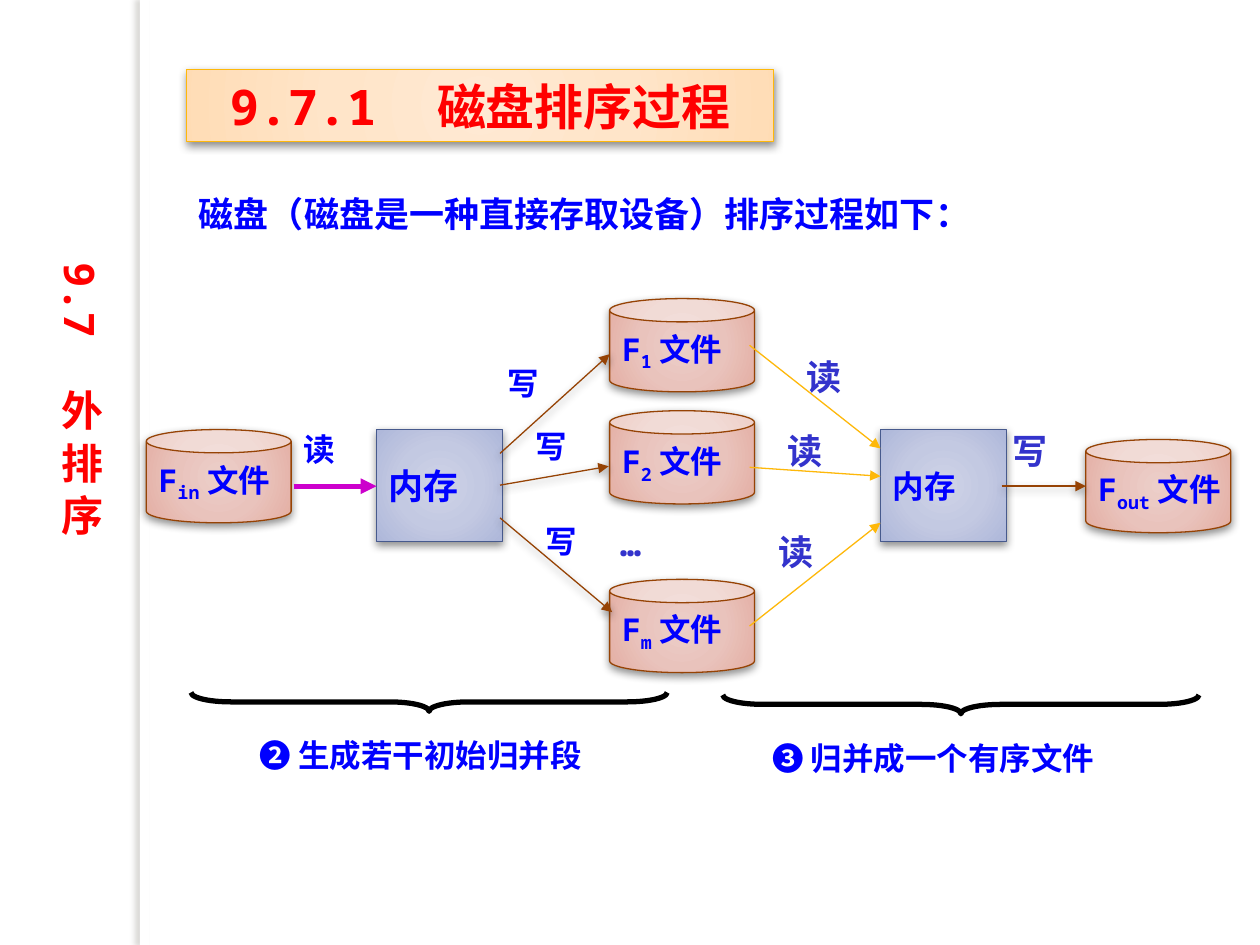
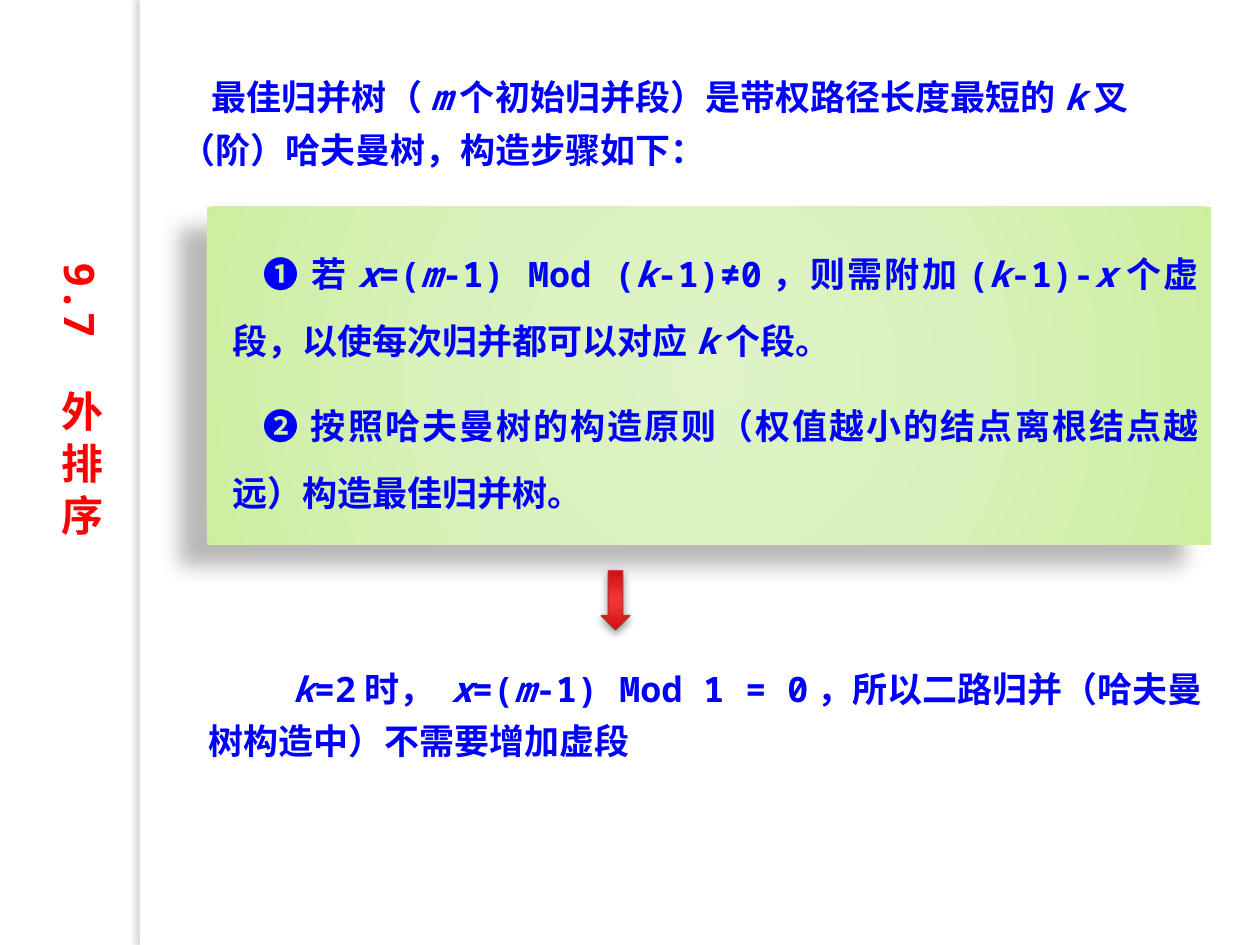
"""Build two slides on external sorting: the disk sort flow and the best merge tree."""
from dataclasses import dataclass, field
from typing import Any, Optional

from lxml.etree import SubElement as Sub
from pptx import Presentation
from pptx.dml.color import RGBColor
from pptx.enum.shapes import MSO_CONNECTOR as Conn, MSO_SHAPE as Kind
from pptx.enum.text import MSO_ANCHOR as Anchor, MSO_AUTO_SIZE as Auto, PP_ALIGN as Align
from pptx.oxml.ns import qn
from pptx.util import Cm, Pt

MONO, SANS = "Noto Sans Mono", "Noto Sans CJK SC"
BLUE, RED, INDIGO = "0000FF", "FF0000", "3333CC"
BROWN, GOLD, NAVY, PURPLE = "964305", "FEB80A", "475A8D", "CC00CC"
PEACH = {0: "FFE9D3", 50: "FFE5C9", 97: "FFDDB7", 100: "FFDBB2"}
ROSE = {0: "ECCEC9", 50: "E9C3BC", 97: "E4AFA4", 100: "E4A89B"}
STEEL = {0: "CFD3E7", 50: "C3C9E2", 97: "AFB8DA", 100: "A8B2DA"}
LIME = {0: "DFF3C7", 50: "D8F1BA", 97: "CDEFA2", 100: "CAF199"}
FLAME = {0: "EF3737", 15: "EE3637", 62: "DB1C1C", 97: "C70C0D", 100: "C30001"}
HEIGHT = 19.05


@dataclass(frozen=True)
class Box:
    x: float
    y: float
    w: float
    h: float


@dataclass(frozen=True)
class Shade:
    hue: str = "000000"
    alpha: int = 43
    blur: float = 5
    dist: float = 2
    angle: int = 90


@dataclass(frozen=True)
class Style:
    size: float = 18
    hue: str = BLUE
    face: str = MONO
    odd: str = "italic"
    indent: float = 0
    para: dict = field(default_factory=dict)
    gap: float = 0
    frame: dict = field(default_factory=dict)
    pad: tuple = (0.25, 0.13, 0.25, 0.13)


@dataclass(frozen=True)
class Disk:
    x: float
    y: float
    sub: str


@dataclass(frozen=True)
class Mark:
    text: str
    x: float
    y: float
    style: Style


@dataclass(frozen=True)
class Arrow:
    x1: float
    y1: float
    x2: float
    y2: float
    hue: str
    width: float = 0.75
    shade: Optional[Shade] = None


SOFT = Shade()
TIGHT = (0, 0, 0, 0)
MID = {"word_wrap": False, "vertical_anchor": Anchor.MIDDLE}
SMALL, LARGE = Style(pad=TIGHT), Style(20, INDIGO, pad=TIGHT)
HEAD = Style(28, RED, para={"alignment": Align.CENTER}, frame={"vertical_anchor": Anchor.MIDDLE})
SIDE = Style(24, RED, para={"alignment": Align.CENTER})
LEAD = Style(20, face=SANS)
STEP = Style(20, indent=0.64, gap=10, pad=(0.51, 0.41, 0.25, 0.51),
             para={"alignment": Align.JUSTIFY, "line_spacing": 1.6})
INTRO = Style(20, indent=0.64, para={"line_spacing": Pt(30)})
NOTE = Style(20, indent=1.7, para={"line_spacing": Pt(30)})

DISKS = [Disk(2.95, 8.66, "in"), Disk(21.89, 8.86, "out"), Disk(12.29, 6.02, "1"),
         Disk(12.29, 8.28, "2"), Disk(12.29, 11.68, "m")]
MARKS = [
    Mark("读", 6.12, 8.66, SMALL), Mark("写", 10.24, 7.34, SMALL),
    Mark("写", 10.8, 8.61, SMALL), Mark("写", 11, 10.52, SMALL),
    Mark("写", 20.42, 8.66, LARGE), Mark("读", 16.26, 7.16, LARGE),
    Mark("读", 15.88, 8.66, LARGE), Mark("读", 15.7, 10.69, LARGE),
    Mark("…", 12.5, 10.52, LARGE),
]
ARROWS = [
    Arrow(5.92, 9.8, 7.59, 9.8, PURPLE, 3),
    Arrow(20.19, 9.8, 21.89, 9.8, BROWN, shade=SOFT),
    Arrow(10.08, 9.14, 12.29, 7.14, BROWN, shade=SOFT),
    Arrow(10.08, 9.78, 12.27, 9.4, BROWN, shade=SOFT),
    Arrow(10.08, 10.44, 12.34, 12.34, BROWN, shade=SOFT),
    Arrow(15.11, 6.96, 17.75, 9.04, GOLD),
    Arrow(15.11, 9.42, 17.75, 9.6, GOLD),
    Arrow(15.11, 12.62, 17.75, 10.54, GOLD),
]


def rgb(hue: str) -> RGBColor:
    """Turn a hex string into a colour."""
    return RGBColor.from_string(hue)


def put(thing: Any, vals: dict) -> None:
    """Set each named value on the object."""
    for name, val in vals.items():
        setattr(thing, name, val)


def spot(box: Box) -> tuple:
    """Give the box as lengths."""
    return Cm(box.x), Cm(box.y), Cm(box.w), Cm(box.h)


def move(shape: Any, box: Box) -> Any:
    """Place a shape on its box."""
    put(shape, dict(zip(("left", "top", "width", "height"), spot(box))))
    return shape


def cast(shape: Any, shade: Optional[Shade]) -> None:
    """Give the shape this shadow, or none."""
    root = Sub(shape._element.spPr, qn("a:effectLst"))
    if shade:
        drop = Sub(root, qn("a:outerShdw"), blurRad=str(Pt(shade.blur)), dist=str(Pt(shade.dist)),
                   dir=str(shade.angle * 60000), algn="ctr", rotWithShape="0")
        tint = Sub(drop, qn("a:srgbClr"), val=shade.hue)
        Sub(tint, qn("a:alpha"), val=str(shade.alpha * 1000))


def glow(shape: Any, stops: dict) -> None:
    """Fill the shape with a round gradient."""
    shape.fill.solid()
    props = shape._element.spPr
    flat = props.find(qn("a:solidFill"))
    grad = Sub(props, qn("a:gradFill"), rotWithShape="1")
    row = Sub(grad, qn("a:gsLst"))
    for pos, hue in stops.items():
        Sub(Sub(row, qn("a:gs"), pos=str(pos * 1000)), qn("a:srgbClr"), val=hue)
    way = Sub(grad, qn("a:path"), path="circle")
    Sub(way, qn("a:fillToRect"), dict.fromkeys("ltrb", "50000"))
    props.replace(flat, grad)


def edge(shape: Any, hue: Optional[str], width: float = 0.75) -> None:
    """Draw the outline, or none."""
    if hue:
        shape.line.color.rgb = rgb(hue)
        shape.line.width = Pt(width)
    else:
        shape.line.fill.background()


def write(shape: Any, style: Style, *lines: str) -> None:
    """Write lines in which every second part between bars is special."""
    frame = shape.text_frame
    sides = ("margin_left", "margin_top", "margin_right", "margin_bottom")
    put(frame, {"auto_size": Auto.NONE, "word_wrap": True, "vertical_anchor": Anchor.TOP,
                **dict(zip(sides, map(Cm, style.pad))), **style.frame})
    for num, line in enumerate(lines):
        para = frame.add_paragraph() if num else frame.paragraphs[0]
        put(para, {"alignment": Align.LEFT, "space_before": Pt(style.gap if num else 0),
                   **style.para})
        props = para._p.get_or_add_pPr()
        props.set("marL", "0")
        props.set("indent", str(Cm(style.indent)))
        Sub(props, qn("a:buNone"))
        for turn, part in enumerate(line.split("|")):
            if not part:
                continue
            run = para.add_run()
            run.text = part
            odd = turn % 2 == 1
            put(run.font, {"name": style.face, "size": Pt(style.size), "bold": True,
                           "italic": odd and style.odd == "italic"})
            run.font.color.rgb = rgb(style.hue)
            mark = run._r.get_or_add_rPr()
            Sub(mark, qn("a:ea"), typeface=SANS)
            if odd and style.odd == "sub":
                mark.set("baseline", "-25000")


def label(slide: Any, box: Box, style: Style, text: str) -> Any:
    """Add a text box."""
    shape = slide.shapes.add_textbox(*spot(box))
    write(shape, style, text)
    return shape


def paint(shape: Any, stops: dict, hue: Optional[str], shade: Shade = SOFT) -> Any:
    """Give a shape its gradient, outline and shadow."""
    glow(shape, stops)
    edge(shape, hue)
    cast(shape, shade)
    return shape


def solid(slide: Any, kind: Any, box: Box, stops: dict, hue: str) -> Any:
    """Add a painted preset shape."""
    return paint(slide.shapes.add_shape(kind, *spot(box)), stops, hue)


def link(slide: Any, arrow: Arrow) -> None:
    """Draw one arrow."""
    ends = map(Cm, (arrow.x1, arrow.y1, arrow.x2, arrow.y2))
    line = slide.shapes.add_connector(Conn.STRAIGHT, *ends)
    edge(line, arrow.hue, arrow.width)
    Sub(line.line._get_or_add_ln(), qn("a:tailEnd"), type="triangle")
    cast(line, arrow.shade)


def brace(slide: Any, box: Box) -> None:
    """Draw a brace that opens upward."""
    shape = slide.shapes.add_shape(Kind.RIGHT_BRACE, *spot(box))
    shape.rotation = 90
    shape.adjustments[0] = 2.118
    shape.fill.background()
    edge(shape, "000000", 3)
    cast(shape, None)


def band(slide: Any, shape: Any) -> None:
    """Draw the side strip and write the section name downward."""
    strip = slide.shapes.add_shape(Kind.RECTANGLE, *spot(Box(2.82, 0, 0.2, HEIGHT)))
    strip.fill.solid()
    strip.fill.fore_color.rgb = rgb("FFFFFF")
    edge(strip, None)
    cast(strip, Shade("736F63", 25, 3, 3, 180))
    move(shape, Box(0.84, 5.16, 1.55, 8.13))
    write(shape, SIDE, "9.7\u3000外 排 序")
    shape.text_frame._txBody.bodyPr.set("vert", "eaVert")


def flow(deck: Any) -> None:
    """Build the disk sort slide."""
    slide = deck.slides.add_slide(deck.slide_layouts[5])
    band(slide, slide.shapes.add_textbox(0, 0, 0, 0))
    title = move(slide.shapes.title, Box(3.76, 1.4, 11.84, 1.45))
    write(paint(title, PEACH, GOLD), HEAD, "9.7.1\u3000磁盘排序过程")
    label(slide, Box(3.76, 3.76, 18.47, 1.12), LEAD, "磁盘（磁盘是一种直接存取设备）排序过程如下：")
    for disk in DISKS:
        can = solid(slide, Kind.CAN, Box(disk.x, disk.y, 2.92, 1.88), ROSE, BROWN)
        write(can, Style(odd="sub", frame=MID), f"F|{disk.sub}|文件")
    for x, size in ((7.59, 20), (17.75, 18)):
        core = solid(slide, Kind.RECTANGLE, Box(x, 8.66, 2.54, 2.26), STEEL, NAVY)
        write(core, Style(size, frame=MID), "内存")
    for arrow in ARROWS:
        link(slide, arrow)
    for mark in MARKS:
        label(slide, Box(mark.x, mark.y, 1.12, 0.79), mark.style, mark.text)
    for x, y in ((8.46, 9.35), (19.18, 9.4)):
        brace(slide, Box(x, y, 0.38, 9.6))
    label(slide, Box(4.98, 14.71, 7.7, 1.02), Style(face=SANS), "❷ 生成若干初始归并段")
    label(slide, Box(15.32, 14.76, 7.9, 1.02), Style(face=SANS), "❸ 归并成一个有序文件")


def tree(deck: Any) -> None:
    """Build the best merge tree slide."""
    slide = deck.slides.add_slide(deck.slide_layouts[1])
    band(slide, slide.shapes.title)
    steps = move(slide.placeholders[1], Box(4.17, 4.17, 20.24, 6.81))
    paint(steps, LIME, None, Shade("000000", 28, 11.8, 19.7, 141))
    write(steps, STEP,
          "❶ 若|x|=(|m|-1) Mod (|k|-1)≠0，则需附加(|k|-1)-|x|个虚段，以使每次归并都可以对应|k|个段。",
          "❷ 按照哈夫曼树的构造原则（权值越小的结点离根结点越远）构造最佳归并树。")
    label(slide, Box(3.38, 1.19, 21.44, 2.29), INTRO,
          "最佳归并树（|m|个初始归并段）是带权路径长度最短的|k|叉（阶）哈夫曼树，构造步骤如下：")
    label(slide, Box(3.96, 13.11, 20.65, 2.29), NOTE,
          "|k|=2时，| x|=(|m|-1) Mod 1 = 0，所以二路归并（哈夫曼树构造中）不需要增加虚段")
    solid(slide, Kind.DOWN_ARROW, Box(12.12, 11.51, 0.58, 1.19), FLAME, "C32D2E")


def main() -> None:
    """Build and save the deck."""
    deck = Presentation()
    put(deck, {"slide_width": Cm(25.4), "slide_height": Cm(HEIGHT)})
    flow(deck)
    tree(deck)
    deck.save("out.pptx")


main()
